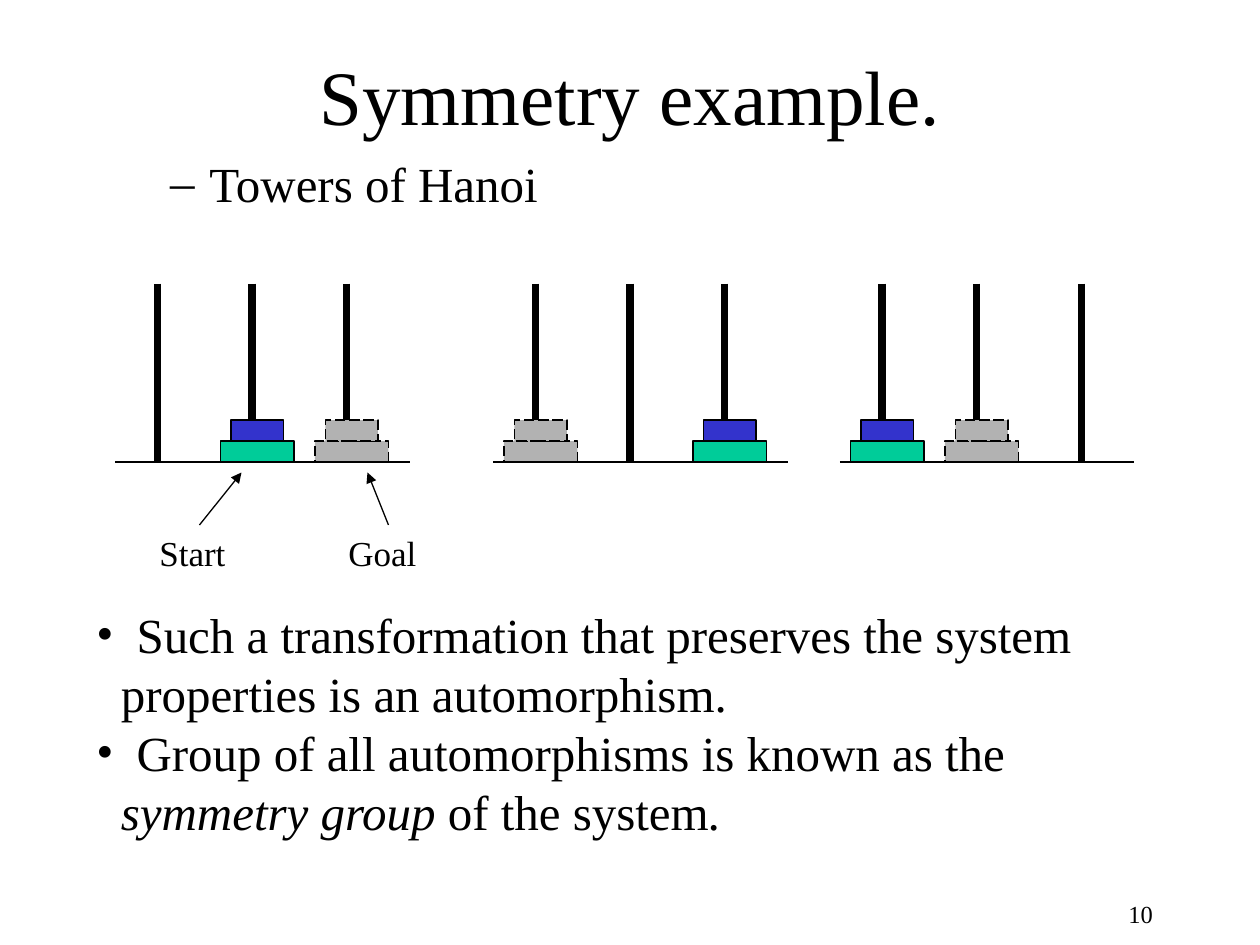
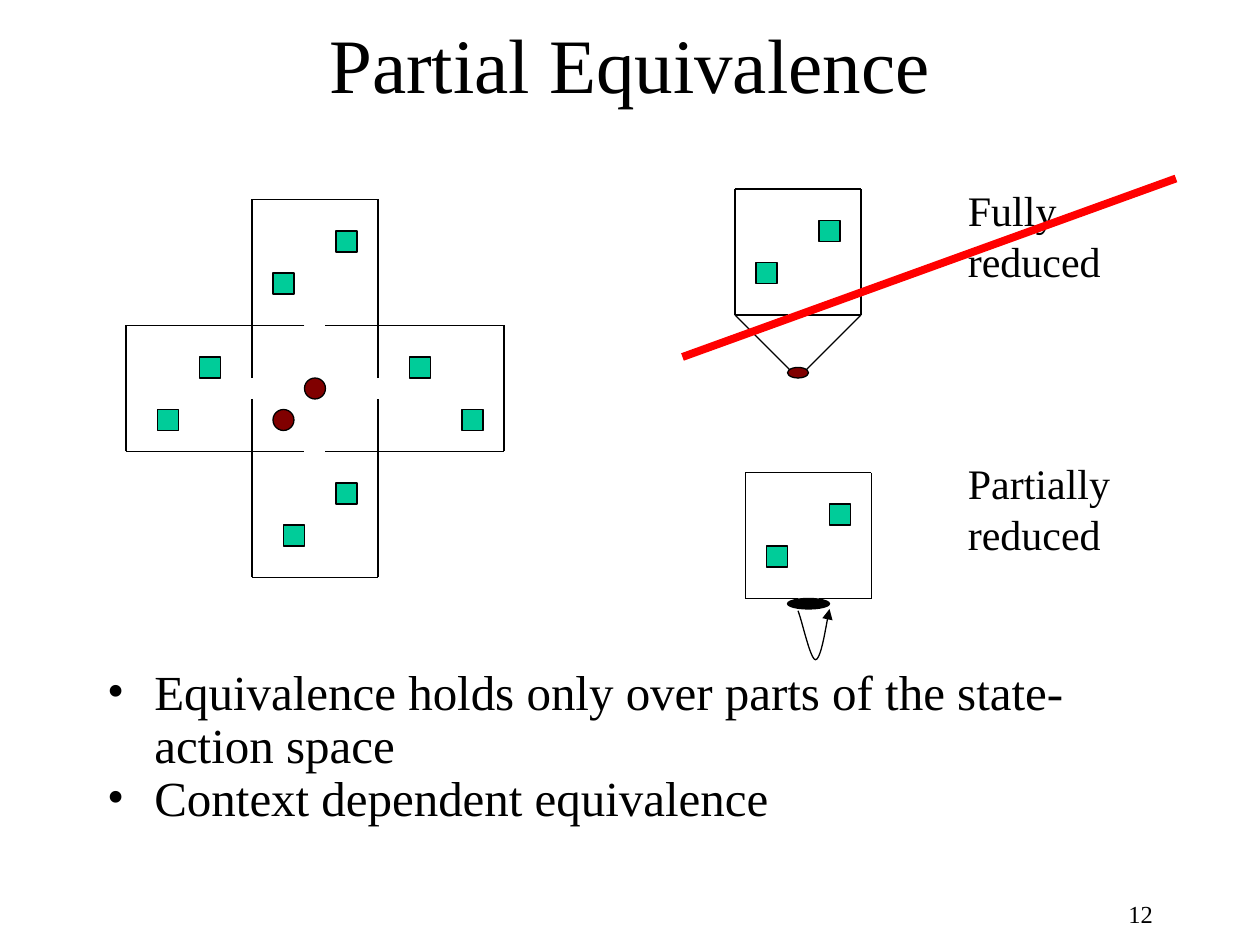
import pptx
import pptx.dml.color
import pptx.enum.dml
import pptx.enum.shapes
import pptx.enum.text
import pptx.oxml.ns
import pptx.util
from lxml import etree

Pt = pptx.util.Pt
RGBColor = pptx.dml.color.RGBColor
Shape = pptx.enum.shapes.MSO_SHAPE
Align = pptx.enum.text.PP_ALIGN
qn = pptx.oxml.ns.qn

BLACK = RGBColor(0x00, 0x00, 0x00)
GREEN = RGBColor(0x00, 0xCC, 0x99)
BLUE = RGBColor(0x33, 0x33, 0xCC)
GREY = RGBColor(0xB2, 0xB2, 0xB2)
MAROON = RGBColor(0x80, 0x00, 0x00)
RED = RGBColor(0xFF, 0x00, 0x00)
FONT = "Times New Roman"
THIN, THICK = 0.75, 4.5


class Deck:
    def __init__(self):
        self.presentation = pptx.Presentation()
        self.presentation.slide_width = Pt(720)
        self.presentation.slide_height = Pt(540)
        self.slide = None

    def new_slide(self, title, title_top, number):
        layout = self.presentation.slide_layouts[1]
        self.slide = self.presentation.slides.add_slide(layout)
        heading = self.slide.shapes.title
        self.place(heading, 54, title_top, 612, 72)
        self.set_lines(heading.text_frame, [title], 44, Align.CENTER)
        self.label([number], 630, 510, 36, 18, 14, Align.RIGHT, wrap=True)

    def place(self, shape, left, top, width, height):
        shape.left, shape.top = Pt(left), Pt(top)
        shape.width, shape.height = Pt(width), Pt(height)

    def set_lines(self, frame, lines, size, align=Align.LEFT):
        frame.auto_size = pptx.enum.text.MSO_AUTO_SIZE.NONE
        frame.text = "\n".join(lines)
        for paragraph in frame.paragraphs:
            paragraph.alignment = align
            paragraph.space_before = Pt(0)
            for run in paragraph.runs:
                self.style_run(run, size)

    def style_run(self, run, size):
        run.font.name = FONT
        run.font.size = Pt(size)
        run.font.color.rgb = BLACK

    def indent(self, paragraph, margin, hanging=0, bullet=None):
        properties = paragraph._p.get_or_add_pPr()
        properties.set("marL", str(Pt(margin)))
        properties.set("indent", str(-Pt(hanging)))
        if bullet:
            etree.SubElement(properties, qn("a:buFont"), typeface=FONT)
            etree.SubElement(properties, qn("a:buChar"), char=bullet)

    def body(self, lines, top, height, margin, hanging, bullet, spacing=1.0):
        placeholder = self.slide.placeholders[1]
        self.place(placeholder, 54, top, 612, height)
        self.set_lines(placeholder.text_frame, lines, 28)
        for paragraph in placeholder.text_frame.paragraphs:
            paragraph.line_spacing = spacing
            self.indent(paragraph, margin, hanging, bullet)

    def label(self, lines, left, top, width, height, size,
              align=Align.LEFT, wrap=False):
        box = self.slide.shapes.add_textbox(Pt(left), Pt(top), Pt(width), Pt(height))
        self.set_lines(box.text_frame, lines, size, align)
        box.text_frame.word_wrap = wrap
        return box.text_frame

    def line(self, start, end, width=THIN, color=BLACK, arrow=False):
        connector = self.slide.shapes.add_connector(
            pptx.enum.shapes.MSO_CONNECTOR.STRAIGHT,
            *(Pt(value) for value in (*start, *end)))
        self.outline(connector, width, color, arrow)
        etree.SubElement(connector.element.spPr, qn("a:effectLst"))

    def outline(self, shape, width=THIN, color=BLACK, arrow=False):
        shape.line.width = Pt(width)
        shape.line.color.rgb = color
        if arrow:
            stroke = shape.element.spPr.find(qn("a:ln"))
            etree.SubElement(stroke, qn("a:tailEnd"), type="triangle")

    def polyline(self, points):
        for start, end in zip(points, points[1:]):
            self.line(start, end)

    def shape(self, kind, left, top, width, height, fill, dashed=False):
        shape = self.slide.shapes.add_shape(
            kind, Pt(left), Pt(top), Pt(width), Pt(height))
        shape.shadow.inherit = False
        shape.fill.solid()
        shape.fill.fore_color.rgb = fill
        self.outline(shape)
        if dashed:
            shape.line.dash_style = pptx.enum.dml.MSO_LINE.LONG_DASH

    def curve(self, start, segments, steps=12):
        """Draw an arrow along cubic segments of two controls and an end."""
        points = [start]
        for first, second, end in segments:
            origin = points[-1]
            for step in range(1, steps + 1):
                t = step / steps
                points.append(tuple(
                    (1 - t) ** 3 * a + 3 * (1 - t) ** 2 * t * b
                    + 3 * (1 - t) * t ** 2 * c + t ** 3 * d
                    for a, b, c, d in zip(origin, first, second, end)))
        points = [(Pt(x), Pt(y)) for x, y in points]
        builder = self.slide.shapes.build_freeform(*points[0])
        builder.add_line_segments(points[1:], close=False)
        arrow = builder.convert_to_shape()
        arrow.shadow.inherit = False
        arrow.fill.background()
        self.outline(arrow, arrow=True)

    def disks(self, peg, large, small, dashed=False):
        self.shape(Shape.RECTANGLE, peg - 18, 252, 42, 12, large, dashed)
        self.shape(Shape.RECTANGLE, peg - 12, 240, 30, 12, small, dashed)

    def hanoi(self, left, pegs, start, goal):
        """Draw one puzzle; start and goal are indexes into pegs."""
        for peg in pegs:
            self.line((left + peg, 162), (left + peg, 264), THICK)
        self.disks(left + pegs[start], GREEN, BLUE)
        self.disks(left + pegs[goal], GREY, GREY, dashed=True)
        self.line((left, 264), (left + 168, 264))

    def room(self, center_x, center_y, turns=0):
        """Draw a room above the center, turned by quarters, with its doorway."""
        def turn(x, y):
            for _ in range(turns):
                x, y = -y, x
            return center_x + x, center_y + y

        walls = [(-6, -36), (-36, -36), (-36, -108), (36, -108), (36, -36), (6, -36)]
        self.polyline([turn(x, y) for x, y in walls])

    def objects(self, corners):
        for left, top in corners:
            self.shape(Shape.RECTANGLE, left, top, 12, 12, GREEN)

    def reduced_room(self, left, top):
        self.room(left + 36, top + 108)
        self.objects([(left + 12, top + 42), (left + 48, top + 18)])


def symmetry_slide(deck):
    deck.new_slide("Symmetry example.", 18, "10")
    deck.body(["Towers of Hanoi"], 84, 396, 58.5, 22.5, "–")

    deck.hanoi(66, (24, 78, 132), start=1, goal=2)
    deck.hanoi(282, (24, 78, 132), start=2, goal=0)
    deck.hanoi(480, (24, 78, 138), start=0, goal=1)
    for name, left, tail, tip in (("Goal", 192, 222, 210), ("Start", 84, 114, 138)):
        deck.label([name], left, 300, 53, 31.5, 20)
        deck.line((tail, 300), (tip, 270), arrow=True)

    remarks = deck.label(
        ["Such a transformation that preserves the system",
         "properties is an automorphism.",
         "Group of all automorphisms is known as the",
         "symmetry group "],
        48, 342, 607, 142, 28, wrap=True)
    for index, paragraph in enumerate(remarks.paragraphs):
        if index % 2:
            deck.indent(paragraph, 14)
        else:
            deck.indent(paragraph, 23, 23, "•")
    closing = remarks.paragraphs[3]
    closing.runs[0].font.italic = True
    for text, italic in (("of the system", False), (".", True)):
        run = closing.add_run()
        run.text = text
        deck.style_run(run, 28)
        run.font.italic = italic


def equivalence_slide(deck):
    deck.new_slide("Partial Equivalence", 0, "12")
    deck.body(["Equivalence holds only over parts of the state-action space",
               "Context dependent equivalence"], 378, 102, 27, 27, "•", 0.9)

    for turns in range(4):
        deck.room(180, 222, turns)
    deck.objects([(90, 234), (114, 204), (192, 276), (162, 300),
                  (234, 204), (264, 234), (156, 156), (192, 132)])
    for left, top in ((174, 216), (156, 234)):
        deck.shape(Shape.OVAL, left, top, 12, 12, MAROON)

    deck.reduced_room(420, 108)
    deck.polyline([(420, 180), (456, 216), (492, 180)])
    deck.shape(Shape.OVAL, 450, 210, 12, 6, MAROON)
    deck.label(["Fully", "reduced"], 546, 102, 90, 65, 24)

    deck.reduced_room(426, 270)
    deck.shape(Shape.OVAL, 450, 342, 24, 6, BLACK)
    deck.curve((456, 349), [((458, 353.5), (463, 377), (466, 377)),
                            ((469.5, 377), (472.5, 354), (474, 348))])
    deck.label(["Partially", "reduced"], 546, 258, 96, 65, 24)

    deck.line((672, 102), (390, 204), THICK, RED)


def main():
    deck = Deck()
    symmetry_slide(deck)
    equivalence_slide(deck)
    deck.presentation.save("out.pptx")


if __name__ == "__main__":
    main()
